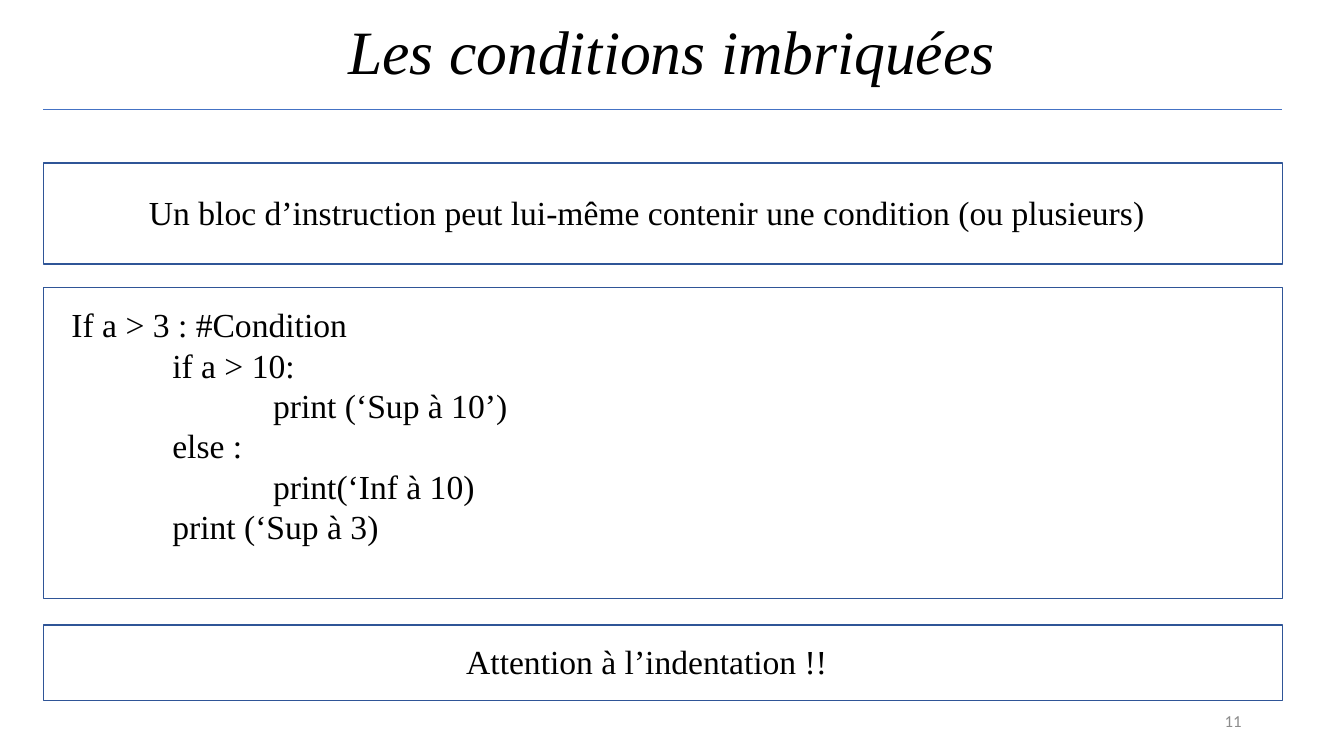
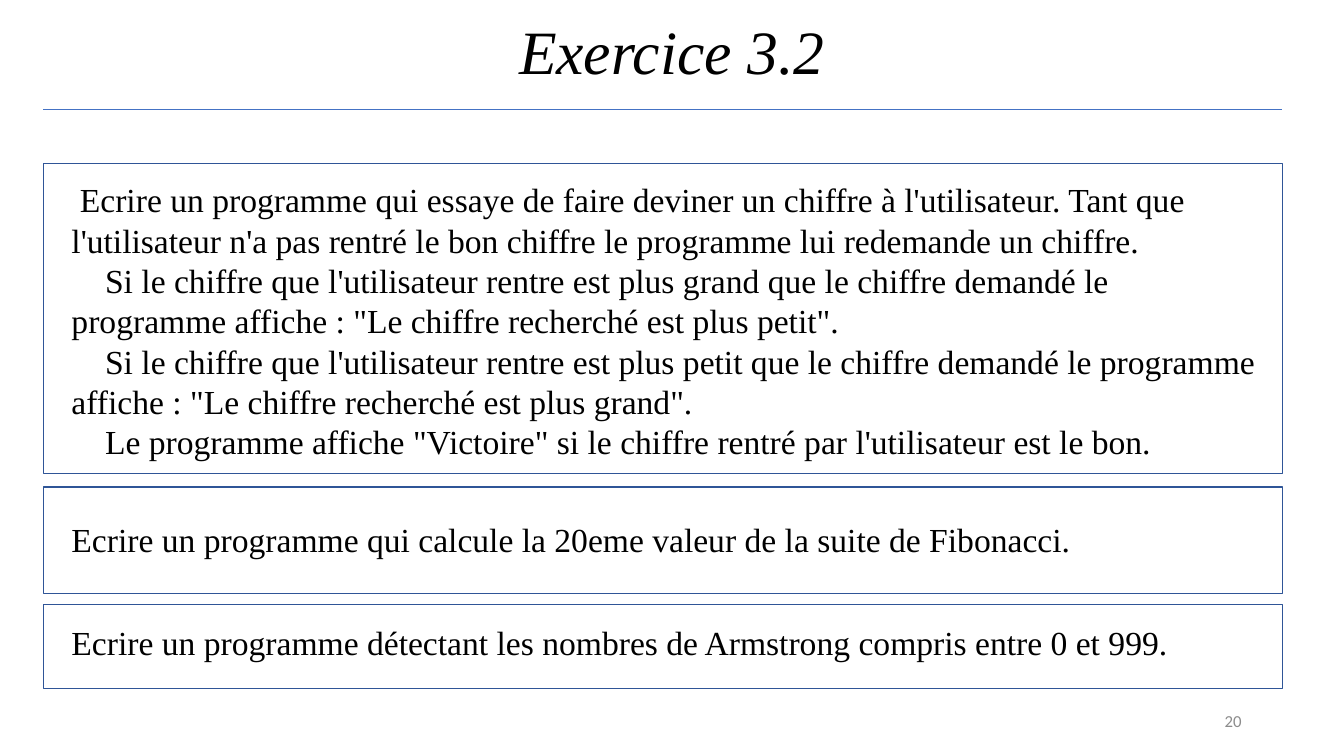
from dataclasses import dataclass
from typing import Optional

from lxml import etree
from pptx import Presentation
from pptx.dml.color import RGBColor
from pptx.enum import shapes, text
from pptx.oxml import ns
from pptx.util import Pt


# Theme: colours, fonts, type sizes and shared margins
@dataclass(frozen=True)
class Theme:
    ink: RGBColor = RGBColor(0x00, 0x00, 0x00)
    muted: RGBColor = RGBColor(0x8C, 0x8C, 0x8C)
    rule: RGBColor = RGBColor(0x44, 0x72, 0xC4)
    border: RGBColor = RGBColor(0x2F, 0x55, 0x97)
    serif: str = "Times New Roman"
    sans: str = "Calibri"
    title_size: float = 44
    body_size: float = 24
    number_size: float = 12
    left: float = 31
    width: float = 885
    text_left: float = 44
    text_width: float = 836


THEME = Theme()
LEFT, CENTER, RIGHT = text.PP_ALIGN.LEFT, text.PP_ALIGN.CENTER, text.PP_ALIGN.RIGHT


@dataclass(frozen=True)
class Style:
    size: float = THEME.body_size
    font: str = THEME.serif
    color: RGBColor = THEME.ink
    italic: bool = False
    align: text.PP_ALIGN = LEFT
    spacing: Optional[float] = None


@dataclass(frozen=True)
class Line:
    text: str
    margin: float = 0  # indent of the whole paragraph
    first: float = 0  # extra indent of its first line


@dataclass(frozen=True)
class Panel:
    top: float
    height: float
    text_top: float
    text_height: float
    lines: tuple[Line, ...]
    align: text.PP_ALIGN = LEFT
    text_width: float = THEME.text_width


@dataclass(frozen=True)
class Page:
    title: str
    number: int
    panels: tuple[Panel, ...]


TITLE = Style(THEME.title_size, italic=True, align=CENTER, spacing=0.9)
NUMBER = Style(THEME.number_size, THEME.sans, THEME.muted, align=RIGHT)
TAB = 72
ONE_LINE = 36.35

# Content
PAGES = (
    Page("Les conditions imbriquées", 11, (
        Panel(116.6, 72, 133.2, ONE_LINE, (
            Line("Un bloc d’instruction peut lui-même contenir une condition (ou plusieurs)"),
        ), CENTER),
        Panel(205.2, 222.5, 213.8, 211, (
            Line("If a > 3 : #Condition"),
            Line("if a > 10:", TAB),
            Line("print (‘Sup à 10’)", 2 * TAB),
            Line("else :", TAB),
            Line("print(‘Inf à 10)", 2 * TAB),
            Line("print (‘Sup à 3)", TAB),
        )),
        Panel(446.4, 54, 454.4, ONE_LINE, (Line("Attention à l’indentation !!"),), CENTER),
    )),
    Page("Exercice 3.2", 20, (
        Panel(116.6, 221.8, 124.6, 211, (
            Line("Ecrire un programme qui essaye de faire deviner un chiffre à l'utilisateur. "
                 "Tant que l'utilisateur n'a pas rentré le bon chiffre le programme lui "
                 "redemande un chiffre.", first=6),
            Line("Si le chiffre que l'utilisateur rentre est plus grand que le chiffre demandé "
                 "le programme affiche : \"Le chiffre recherché est plus petit\".", first=24),
            Line("Si le chiffre que l'utilisateur rentre est plus petit que le chiffre demandé "
                 "le programme affiche : \"Le chiffre recherché est plus grand\".", first=24),
            Line("Le programme affiche \"Victoire\" si le chiffre rentré par l'utilisateur "
                 "est le bon.", first=24),
        ), text_width=864),
        Panel(347.8, 76.3, 367.2, ONE_LINE, (
            Line("Ecrire un programme qui calcule la 20eme valeur de la suite de Fibonacci."),
        )),
        Panel(432, 59.8, 440.6, ONE_LINE, (
            Line("Ecrire un programme détectant les nombres de Armstrong compris entre 0 et 999."),
        )),
    )),
)


def add_text(s, left: float, top: float, width: float, height: float,
             lines: tuple[Line, ...], style: Style, middle: bool = False) -> None:
    sp = s.shapes.add_textbox(Pt(left), Pt(top), Pt(width), Pt(height))
    tf = sp.text_frame
    tf.word_wrap = True
    if middle:
        tf.vertical_anchor = text.MSO_ANCHOR.MIDDLE
    else:
        tf.auto_size = text.MSO_AUTO_SIZE.SHAPE_TO_FIT_TEXT
    for i, line in enumerate(lines):
        p = tf.add_paragraph() if i else tf.paragraphs[0]
        p.text = line.text
        p.alignment = style.align
        if style.spacing:
            p.line_spacing = style.spacing
        if line.margin or line.first:
            p_pr = p._p.get_or_add_pPr()
            p_pr.set("marL", str(Pt(line.margin)))
            p_pr.set("indent", str(Pt(line.first)))
        for r in p.runs:
            r.font.size = Pt(style.size)
            r.font.name = style.font
            r.font.italic = style.italic
            r.font.color.rgb = style.color


def add_rule(s, y: float) -> None:
    line = s.shapes.add_connector(shapes.MSO_CONNECTOR.STRAIGHT, Pt(THEME.left), Pt(y),
                                  Pt(THEME.left + THEME.width), Pt(y))
    line.line.color.rgb = THEME.rule
    line.line.width = Pt(0.5)
    etree.SubElement(line._element.spPr, ns.qn("a:effectLst"))


def add_panel(s, panel: Panel) -> None:
    sp = s.shapes.add_shape(shapes.MSO_SHAPE.RECTANGLE, Pt(THEME.left), Pt(panel.top),
                            Pt(THEME.width), Pt(panel.height))
    sp.shadow.inherit = False
    sp.fill.background()
    sp.line.color.rgb = THEME.border
    sp.line.width = Pt(1)
    add_text(s, THEME.text_left, panel.text_top, panel.text_width, panel.text_height,
             panel.lines, Style(align=panel.align))


def add_page(prs, page: Page) -> None:
    s = prs.slides.add_slide(prs.slide_layouts[6])
    # Title, page number and rule
    add_text(s, 66, -13, 828, 104.4, (Line(page.title),), TITLE, middle=True)
    add_text(s, 678, 500.5, 216, 28.8, (Line(str(page.number)),), NUMBER, middle=True)
    add_rule(s, 77.8)
    # Framed panels
    for panel in page.panels:
        add_panel(s, panel)


def main() -> None:
    prs = Presentation()
    prs.slide_width, prs.slide_height = Pt(960), Pt(540)
    for page in PAGES:
        add_page(prs, page)
    prs.save("out.pptx")


if __name__ == "__main__":
    main()
